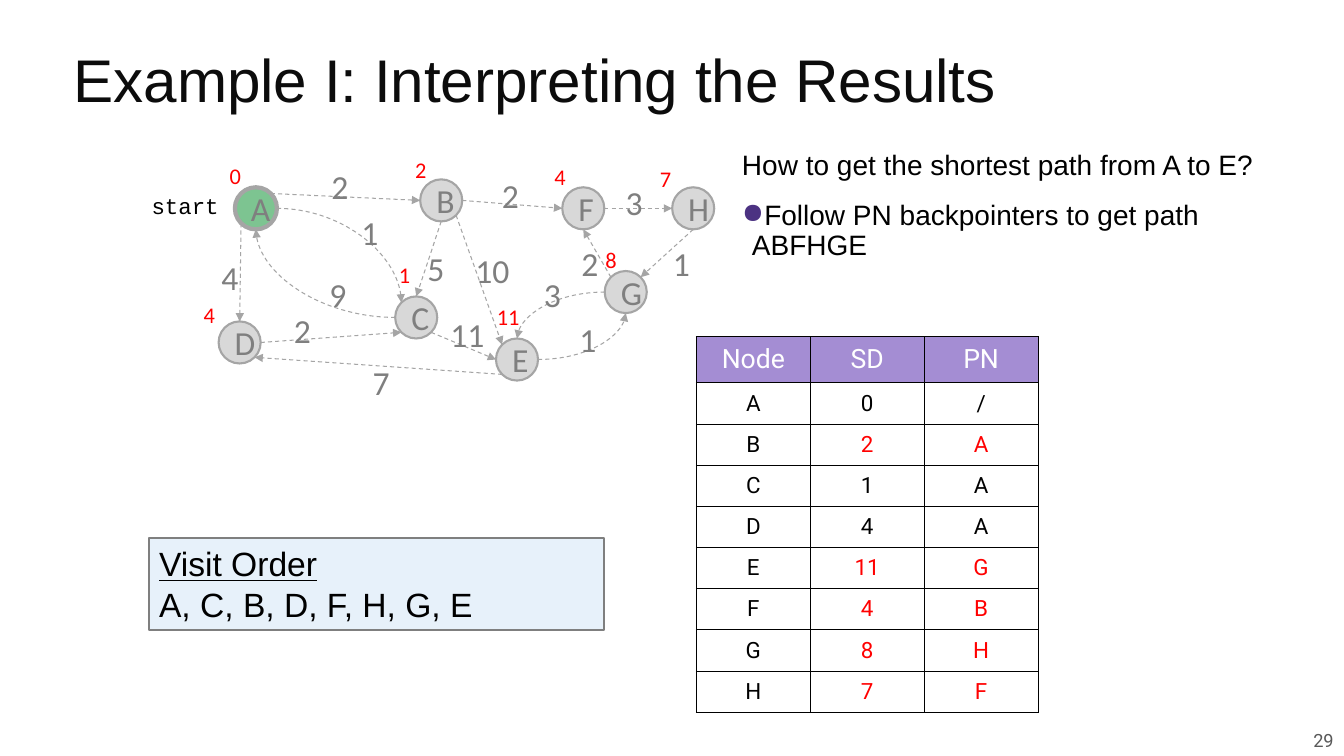
import math

from lxml import etree
from pptx import Presentation
from pptx.dml.color import RGBColor
from pptx.enum.dml import MSO_LINE
from pptx.enum.shapes import MSO_CONNECTOR, MSO_SHAPE
from pptx.enum.text import MSO_ANCHOR, PP_ALIGN
from pptx.oxml.ns import qn
from pptx.util import Cm, Pt

STRAIGHT, CURVE = MSO_CONNECTOR.STRAIGHT, MSO_CONNECTOR.CURVE
OVAL, RECTANGLE = MSO_SHAPE.OVAL, MSO_SHAPE.RECTANGLE
TOP, MIDDLE = MSO_ANCHOR.TOP, MSO_ANCHOR.MIDDLE
LEFT, CENTER, RIGHT = PP_ALIGN.LEFT, PP_ALIGN.CENTER, PP_ALIGN.RIGHT
DASH = MSO_LINE.DASH

COLORS = {
    "black": "000000", "title": "0C0C0C", "white": "FFFFFF", "red": "FF0000",
    "grey": "7F7F7F", "edge": "A5A5A5", "node": "D8D8D8", "start": "7DC491",
    "panel": "E7F1FA", "header": "A48DD3", "bullet": "4C3282", "page": "595959",
}

RADIUS = 0.53
NODES = {
    "A": (6.45, 5.25), "B": (11.12, 5.05), "D": (6.04, 8.63), "C": (10.49, 8.0),
    "F": (14.7, 5.25), "H": (17.47, 5.25), "E": (13.03, 9.06), "G": (15.77, 7.36),
}
ANGLES = {"right": 0, "lower right": 45, "bottom": 90, "lower left": 135,
          "left": 180, "upper left": 225, "top": 270, "upper right": 315}
EDGES = [
    ("A", "right", "C", "upper left", CURVE, "1", 8.86, 5.21),
    ("C", "left", "A", "bottom", CURVE, "9", 8.05, 6.78),
    ("G", "left", "E", "top", CURVE, "3", 13.46, 6.76),
    ("E", "right", "G", "bottom", CURVE, "1", 14.35, 7.9),
    ("A", "lower left", "D", "top", STRAIGHT, "4", 5.33, 6.35),
    ("D", "right", "C", "lower left", STRAIGHT, "2", 7.16, 7.67),
    ("A", "upper right", "B", "left", STRAIGHT, "2", 8.1, 4.06),
    ("B", "right", "F", "left", STRAIGHT, "2", 12.4, 4.27),
    ("F", "right", "H", "left", STRAIGHT, "3", 15.52, 4.45),
    ("G", "upper left", "F", "bottom", STRAIGHT, "2", 14.4, 5.99),
    ("H", "bottom", "G", "upper right", STRAIGHT, "1", 16.71, 5.99),
    ("B", "lower right", "E", "upper left", STRAIGHT, "10", 11.73, 6.17),
    ("B", "bottom", "C", "top", STRAIGHT, "5", 10.52, 6.12),
    ("C", "lower right", "E", "left", STRAIGHT, "11", 11.1, 7.77),
    ("E", "lower left", "D", "lower right", STRAIGHT, "7", 9.14, 8.99),
]
DISTANCES = [
    ("2", 10.21, 3.81), ("4", 13.72, 3.99), ("7", 16.38, 4.04), ("1", 9.8, 6.45),
    ("4", 4.88, 7.47), ("8", 15.01, 6.07), ("11", 12.27, 7.52), ("0", 5.54, 3.96),
]
RESULTS = [
    ("Node", "SD", "PN"), ("A", "0", "/"), ("B", "2", "A"), ("C", "1", "A"),
    ("D", "4", "A"), ("E", "11", "G"), ("F", "4", "B"), ("G", "8", "H"), ("H", "7", "F"),
]
UPDATED = "BEFGH"


def rim(node, side):
    x, y = NODES[node]
    angle = math.radians(ANGLES[side])
    return Cm(x + RADIUS * math.cos(angle)), Cm(y + RADIUS * math.sin(angle))


class GraphSlide:
    def __init__(self, slide):
        self.shapes = slide.shapes

    def color(self, name):
        return RGBColor.from_string(COLORS[name])

    def frame(self, holder, anchor, inset_x, inset_y):
        holder.vertical_anchor = anchor
        holder.margin_left = holder.margin_right = Cm(inset_x)
        holder.margin_top = holder.margin_bottom = Cm(inset_y)

    def add_words(self, paragraph, words, size, color, font, align=LEFT, spacing=None):
        paragraph.alignment = align
        if spacing:
            paragraph.line_spacing = spacing
        run = paragraph.add_run()
        run.text = words
        run.font.size = Pt(size)
        run.font.name = font
        run.font.color.rgb = self.color(color)
        return run

    def text(self, words, box, size, color, font, align=LEFT, anchor=TOP,
             inset=(0.25, 0.13), spacing=None, wrap=True):
        frame = self.shapes.add_textbox(*map(Cm, box)).text_frame
        frame.word_wrap = wrap
        self.frame(frame, anchor, *inset)
        self.add_words(frame.paragraphs[0], words, size, color, font, align, spacing)
        return frame

    def shape(self, kind, box, fill, line, weight, anchor):
        shape = self.shapes.add_shape(kind, *map(Cm, box))
        shape.shadow.inherit = False
        shape.fill.solid()
        shape.fill.fore_color.rgb = self.color(fill)
        shape.line.color.rgb = self.color(line)
        shape.line.width = Pt(weight)
        shape.text_frame.word_wrap = True
        self.frame(shape.text_frame, anchor, 0.25, 0.13)
        return shape.text_frame

    def node(self, letter, x, y):
        fill, weight = ("start", 3) if letter == "A" else ("node", 1.5)
        box = (x - RADIUS, y - RADIUS, 2 * RADIUS, 2 * RADIUS)
        frame = self.shape(OVAL, box, fill, "edge", weight, MIDDLE)
        self.add_words(frame.paragraphs[0], letter, 24, "grey", "Calibri", CENTER)

    def arrow(self, kind, begin, end):
        arrow = self.shapes.add_connector(kind, *begin, *end)
        arrow.line.color.rgb = self.color("edge")
        arrow.line.width = Pt(0.75)
        arrow.line.dash_style = DASH
        properties = arrow._element.spPr
        if kind == CURVE:
            properties.find(qn("a:prstGeom")).set("prst", "curvedConnector2")
        etree.SubElement(properties.find(qn("a:ln")), qn("a:tailEnd"), type="triangle")
        etree.SubElement(properties, qn("a:effectLst"))

    def bullet(self, paragraph):
        properties = paragraph._p.get_or_add_pPr()
        properties.set("marL", str(Cm(0.25)))
        properties.set("indent", str(Cm(-0.28)))
        tint = etree.SubElement(properties, qn("a:buClr"))
        etree.SubElement(tint, qn("a:srgbClr"), val=COLORS["bullet"])
        etree.SubElement(properties, qn("a:buChar"), char="●")

    def borders(self, cell):
        properties = cell._tc.get_or_add_tcPr()
        for position, side in enumerate(("a:lnL", "a:lnR", "a:lnT", "a:lnB")):
            line = etree.Element(qn(side), w=str(Pt(0.75)))
            fill = etree.SubElement(line, qn("a:solidFill"))
            etree.SubElement(fill, qn("a:srgbClr"), val=COLORS["black"])
            properties.insert(position, line)

    def table(self, rows, left, top, column, header, height):
        width, total = column * len(rows[0]), header + height * (len(rows) - 1)
        table = self.shapes.add_table(len(rows), len(rows[0]), Cm(left), Cm(top),
                                      Cm(width), Cm(total)).table
        table.horz_banding = table.first_row = False
        for grid_column in table.columns:
            grid_column.width = Cm(column)
        for r, row in enumerate(rows):
            table.rows[r].height = Cm(height if r else header)
            for c, words in enumerate(row):
                cell = table.cell(r, c)
                self.frame(cell, MIDDLE, 0.18, 0.18)
                size, color = (16, "black") if r else (19, "white")
                if c and row[0] in UPDATED:
                    color = "red"
                self.add_words(cell.text_frame.paragraphs[0], words, size, color, "Roboto",
                               CENTER)
                if r:
                    cell.fill.background()
                else:
                    cell.fill.solid()
                    cell.fill.fore_color.rgb = self.color("header")
                self.borders(cell)


def main():
    deck = Presentation()
    deck.slide_width, deck.slide_height = Cm(33.87), Cm(19.05)
    page = GraphSlide(deck.slides.add_slide(deck.slide_layouts[6]))

    page.text("29", (21.97, 18.06, 11.89, 1.17), 13, "page", "Roboto", RIGHT, MIDDLE,
              (0.25, 0.25))
    page.text("Example I: Interpreting the Results", (1.6, 0.74, 31.06, 2.82), 43, "title",
              "Arial", anchor=MIDDLE, spacing=0.8)
    question = page.text("How to get the shortest path from A to E?",
                         (18.57, 3.68, 14.68, 4.19), 20, "black", "Arial",
                         inset=(0.13, 0.13), spacing=0.9)
    answer = question.add_paragraph()
    page.bullet(answer)
    answer.space_before = Pt(14)
    page.add_words(answer, "Follow PN backpointers to get path ABFHGE", 20, "black", "Arial",
                   spacing=0.9)

    visits = page.shape(RECTANGLE, (3.76, 13.56, 11.46, 2.31), "panel", "grey", 1.5, TOP)
    heading = page.add_words(visits.paragraphs[0], "Visit Order", 24, "black", "Arial")
    heading.font.underline = True
    page.add_words(visits.add_paragraph(), "A, C, B, D, F, H, G, E", 24, "black", "Arial")

    for letter, (x, y) in NODES.items():
        page.node(letter, x, y)
    for source, exit_side, target, entry_side, kind, *_ in EDGES:
        page.arrow(kind, rim(source, exit_side), rim(target, entry_side))
    for *_, weight, x, y in EDGES:
        page.text(weight, (x, y, 0.51 + 0.43 * len(weight), 1.27), 24, "grey", "Calibri",
                  wrap=False)
    for distance, x, y in DISTANCES:
        page.text(distance, (x, y, 0.53 + 0.28 * len(distance), 0.94), 16, "red", "Calibri",
                  wrap=False)
    page.text("start", (3.15, 4.52, 2.69, 1.32), 16, "black", "Courier New", RIGHT,
              inset=(0.33, 0.33))
    page.table(RESULTS, 17.55, 8.48, 2.87, 1.14, 1.02)
    deck.save("out.pptx")


if __name__ == "__main__":
    main()
